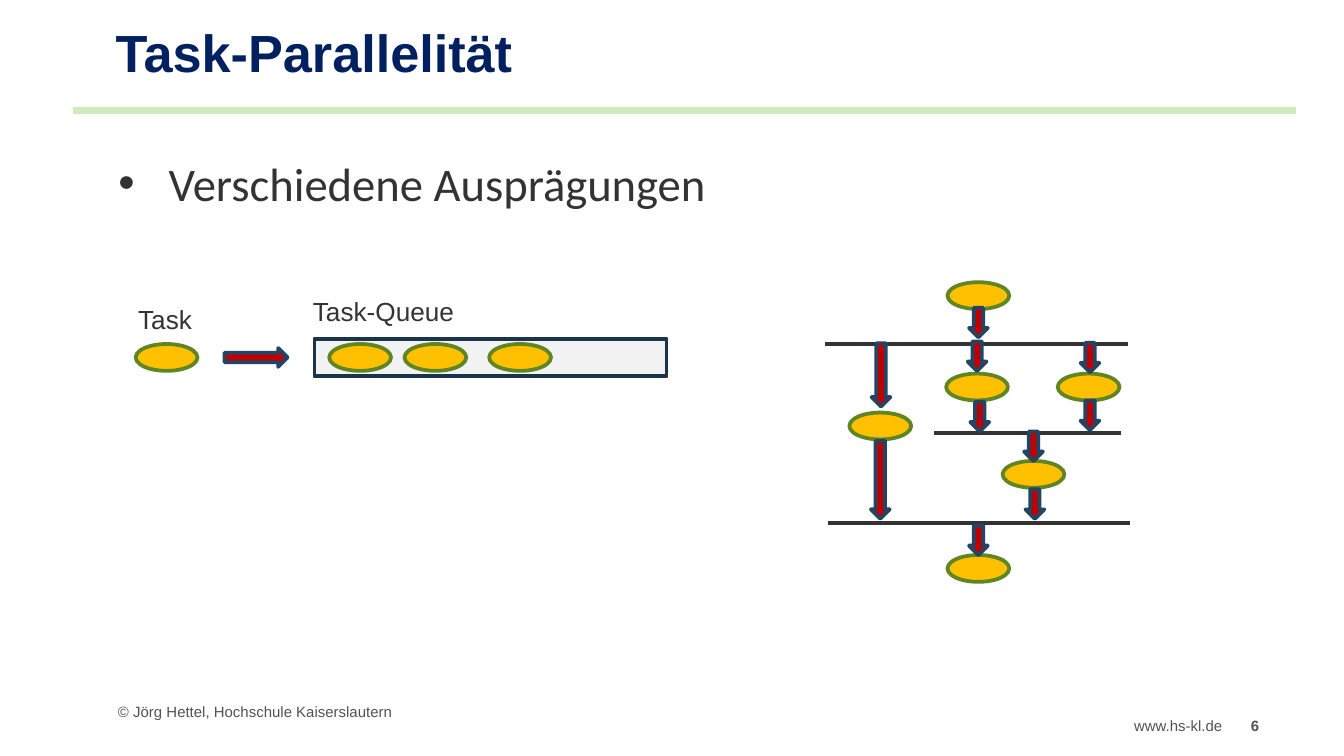
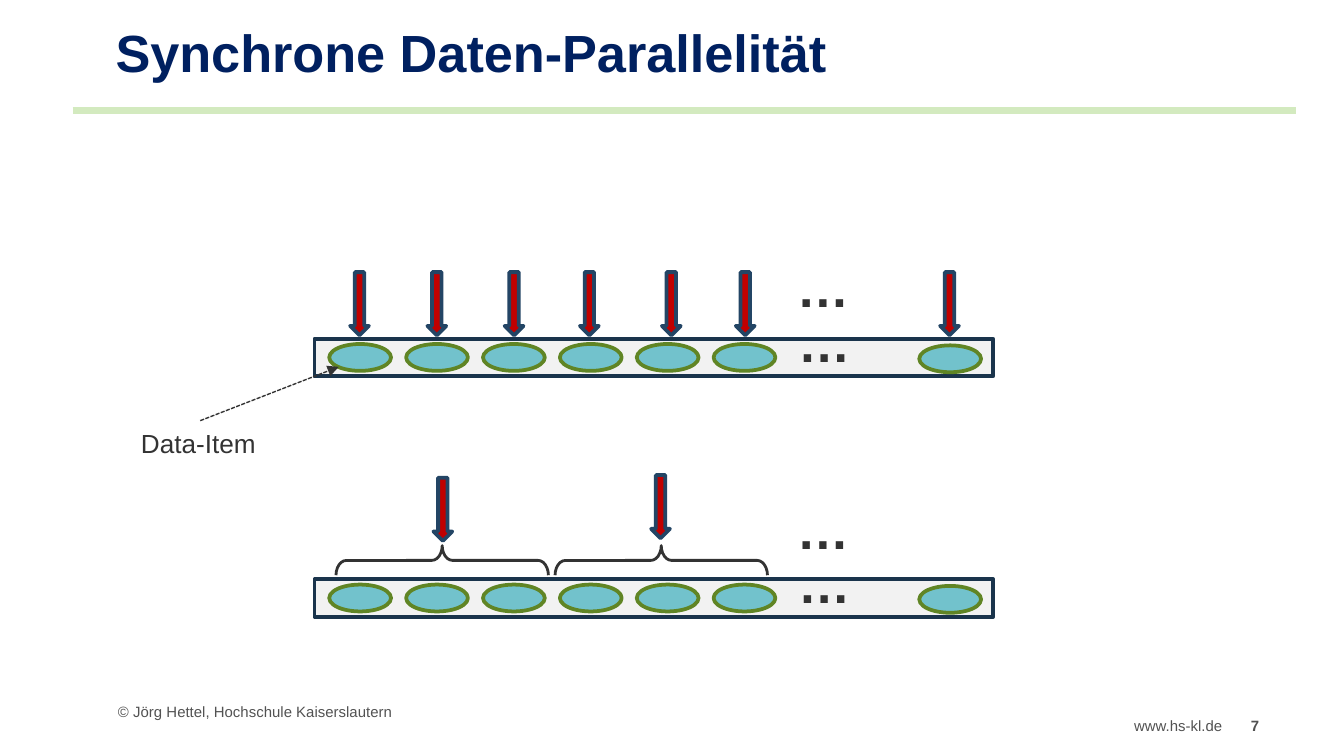
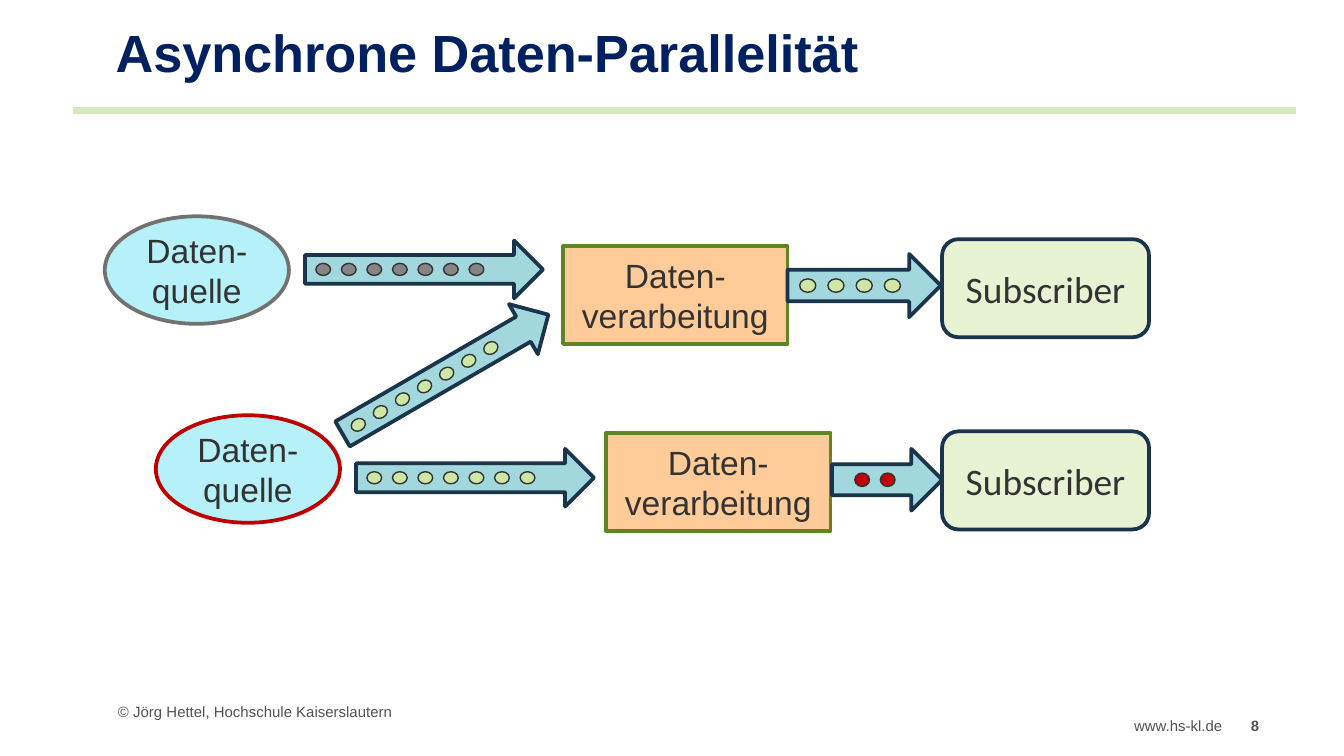
from math import cos, radians, sin

from lxml import etree
from pptx import Presentation
from pptx.dml.color import RGBColor
from pptx.enum.dml import MSO_LINE
from pptx.enum.shapes import MSO_CONNECTOR, MSO_SHAPE
from pptx.enum.text import MSO_ANCHOR, MSO_AUTO_SIZE, PP_ALIGN
from pptx.oxml.ns import qn
from pptx.util import Inches, Pt

RECT, OVAL, ROUND = MSO_SHAPE.RECTANGLE, MSO_SHAPE.OVAL, MSO_SHAPE.ROUNDED_RECTANGLE
ARROW, BRACE = MSO_SHAPE.RIGHT_ARROW, MSO_SHAPE.LEFT_BRACE
LEFT, CENTER = PP_ALIGN.LEFT, PP_ALIGN.CENTER
TOP, MIDDLE, BOTTOM = MSO_ANCHOR.TOP, MSO_ANCHOR.MIDDLE, MSO_ANCHOR.BOTTOM
FIXED, STRAIGHT = MSO_AUTO_SIZE.NONE, MSO_CONNECTOR.STRAIGHT
DASH = MSO_LINE.SQUARE_DOT

WHITE = RGBColor(0xFF, 0xFF, 0xFF)
NAVY = RGBColor(0x00, 0x20, 0x60)
INK = RGBColor(0x33, 0x33, 0x33)
GREY = RGBColor(0x52, 0x52, 0x52)
RIM = RGBColor(0x72, 0x72, 0x72)
STONE = RGBColor(0x85, 0x85, 0x85)
PALE = RGBColor(0xF2, 0xF2, 0xF2)
BAND = RGBColor(0xD3, 0xEA, 0xBF)
DARK = RGBColor(0x1A, 0x34, 0x4C)
STEEL = RGBColor(0x23, 0x45, 0x65)
GREEN = RGBColor(0x60, 0x85, 0x25)
LIME = RGBColor(0xCE, 0xE7, 0xA7)
MINT = RGBColor(0xE7, 0xF3, 0xD3)
GOLD = RGBColor(0xFF, 0xC0, 0x00)
PEACH = RGBColor(0xFF, 0xCC, 0x99)
RED = RGBColor(0xC0, 0x00, 0x00)
TEAL = RGBColor(0x72, 0xC2, 0xCC)
AQUA = RGBColor(0xA1, 0xD7, 0xDD)
SKY = RGBColor(0xB6, 0xF0, 0xF8)

# Fonts
BASE = {"name": "Arial", "size": Pt(14), "bold": False}
HEAD = BASE | {"size": Pt(28), "bold": True}
LIST = BASE | {"name": "Calibri", "size": Pt(25)}
NODE = BASE | {"size": Pt(18)}
CARD = BASE | {"name": "Calibri", "size": Pt(20)}
SMALL = BASE | {"size": Pt(8)}

COLS, ROWS = 100, 56.25  # square cells on a 10 inch wide slide


def put(item, values):
    for key, value in values.items():
        setattr(item, key, value)


class Deck:
    def __init__(self):
        self.prs = Presentation()
        self.prs.slide_width = Inches(10)
        self.prs.slide_height = Inches(10 * ROWS / COLS)
        self.slide = None

    def cell(self, count):
        return round(self.prs.slide_width * count / COLS)

    def place(self, item, box):
        put(item, dict(zip(("left", "top", "width", "height"), map(self.cell, box))))

    def letter(self, item, text, font, color=INK, align=LEFT, anchor=TOP, wrap=True):
        frame = item.text_frame
        put(frame, {"text": text, "word_wrap": wrap, "auto_size": FIXED,
                    "vertical_anchor": anchor})
        for para in frame.paragraphs:
            put(para, {"alignment": align, "space_before": Pt(0)})
            put(para.font, font)
            para.font.color.rgb = color
        return frame

    def start(self, title, number, layout=5):
        self.slide = self.prs.slides.add_slide(self.prs.slide_layouts[layout])
        fill = self.slide.background.fill
        fill.solid()
        fill.fore_color.rgb = WHITE
        self.line((5.4, 8.2), (96.4, 8.2), BAND, 3.75)
        head = self.slide.shapes.title
        self.place(head, (7.6, 2.9, 73.5, 3.9))
        frame = self.letter(head, title, HEAD, NAVY, anchor=BOTTOM)
        frame.margin_bottom = Inches(0.06)
        frame.paragraphs[0].line_spacing = Pt(31)
        self.label((7.8, 52.2, 36.3, 1.5), "© Jörg Hettel, Hochschule Kaiserslautern",
                   SMALL, GREY, anchor=MIDDLE)
        self.label((83.4, 52.8, 8.7, 2.4), "www.hs-kl.de", SMALL, GREY, wrap=False)
        self.label((92.1, 52.8, 4.3, 2.4), str(number), SMALL | {"bold": True}, GREY,
                   wrap=False)

    def bullet(self, text):
        body = self.slide.placeholders[1]
        self.place(body, (7.8, 11.1, 85.8, 37.7))
        para = body.text_frame.paragraphs[0]
        props = para._p.get_or_add_pPr()
        props.set("marL", str(Inches(0.24)))
        props.set("indent", str(-Inches(0.24)))
        etree.SubElement(props, qn("a:buFont"), typeface="Arial")
        etree.SubElement(props, qn("a:buChar"), char="▪")
        frame = self.letter(body, text, LIST)
        frame.margin_top = Inches(0.04)
        frame.paragraphs[0].space_after = Pt(6)

    def label(self, box, text, font=BASE, color=INK, **style):
        item = self.slide.shapes.add_textbox(*map(self.cell, box))
        self.letter(item, text, font, color, **style)

    def shape(self, kind, box, fill, edge, width=2, turn=0):
        item = self.slide.shapes.add_shape(kind, *map(self.cell, box))
        item.shadow.inherit = False
        item.rotation = turn
        if fill is None:
            item.fill.background()
        else:
            item.fill.solid()
            item.fill.fore_color.rgb = fill
        item.line.color.rgb = edge
        item.line.width = Pt(width)
        return item

    def node(self, kind, box, text, fill, edge, font=NODE):
        item = self.shape(kind, box, fill, edge)
        self.letter(item, text, font, align=CENTER, anchor=MIDDLE)

    def line(self, start, end, color=INK, width=2.25, dash=None, tip=False):
        item = self.slide.shapes.add_connector(
            STRAIGHT, *map(self.cell, (*start, *end)))
        item.line.color.rgb = color
        item.line.width = Pt(width)
        if dash:
            item.line.dash_style = dash
        props = item._element.spPr
        if tip:
            etree.SubElement(props.find(qn("a:ln")), qn("a:tailEnd"), type="triangle")
        etree.SubElement(props, qn("a:effectLst"))

    def pill(self, x, y, fill):
        self.shape(OVAL, (x, y, 4.6, 2), fill, GREEN)

    def queue(self, y, width):
        self.shape(RECT, (23.4, y, width, 2.8), PALE, DARK)

    def arrow(self, x, y, size=4.7, turn=90):
        """Small red arrow centred at x, y."""
        self.shape(ARROW, (x - size / 2, y - 0.7, size, 1.4), RED, STEEL, turn=turn)

    def brace(self, x, y):
        item = self.shape(BRACE, (x, y, 2.2, 15.8), None, INK, 1.5, 90)
        item.adjustments[0] = 0.35

    def flow(self, box, fill, count, first=-7.5, step=1.9, dot=(1.1, 0.9), turn=0):
        """Wide arrow with dots along its axis, offset from its centre."""
        self.shape(ARROW, box, AQUA, DARK, turn=turn)
        x, y, w, h = box
        for i in range(count):
            shift = first + i * step
            left = x + w / 2 + shift * cos(radians(turn)) - dot[0] / 2
            top = y + h / 2 + shift * sin(radians(turn)) - dot[1] / 2
            self.shape(OVAL, (left, top, *dot), fill, INK, 0.75, turn)


def tasks(deck):
    deck.start("Task-Parallelität", 6, layout=1)
    deck.bullet("Verschiedene Ausprägungen")
    # Queue
    deck.queue(25.2, 26.2)
    for x in (10.1, 24.5, 30.1, 36.4):
        deck.pill(x, 25.6, GOLD)
    deck.arrow(19.05, 26.6, turn=0)
    deck.label((9.3, 22.1, 7.4, 3.4), "Task")
    deck.label((22.3, 21.5, 14.7, 3.4), "Task-Queue")
    # Fork and join graph
    for x, y in ((70.5, 21), (70.4, 27.8), (78.7, 27.8), (74.6, 34.3),
                 (70.5, 41.3), (63.2, 30.7)):
        deck.pill(x, y, GOLD)
    for left, right, y in ((61.4, 83.9, 25.6), (61.6, 84.1, 38.9), (69.5, 83.4, 32.2)):
        deck.line((left, y), (right, y))
    for x, y in ((72.8, 24), (72.7, 26.5), (81.1, 26.6), (72.9, 31), (81.1, 30.9),
                 (76.9, 33.2), (77, 37.5), (72.8, 40.2)):
        deck.arrow(x, y, 2.2)
    deck.arrow(65.55, 27.9)
    deck.arrow(65.5, 35.7, 5.8)


def items(deck):
    deck.start("Synchrone Daten-Parallelität", 7)
    # Two rows of data
    for y, above in ((25.2, 18.5), (43.1, 36.5)):
        deck.queue(y, 50.5)
        for i in range(6):
            deck.pill(24.5 + 5.72 * i, y + 0.4, TEAL)
        deck.pill(68.4, y + 0.5, TEAL)
        deck.label((58.4, y - 2.6, 8.2, 5.7), "…", HEAD)
        deck.label((58.3, above, 8.2, 5.7), "…", HEAD)
    # One arrow per item
    for x in (26.75, 32.5, 38.25, 43.85, 49.95, 55.45, 70.65):
        deck.arrow(x, 22.6)
    # One arrow per block
    for x, y in ((32.95, 37.9), (49.15, 37.7)):
        deck.arrow(x, y)
    for x in (31.8, 48.1):
        deck.brace(x, 33.8)
    deck.label((9.5, 31.3, 14.2, 3.4), "Data-Item")
    deck.line((14.9, 31.3), (25.2, 27.3), width=0.75, dash=DASH, tip=True)


def streams(deck):
    deck.start("Asynchrone Daten-Parallelität", 8)
    # Stages
    for x, y, edge in ((7.8, 16.1, RIM), (11.6, 30.9, RED)):
        deck.node(OVAL, (x, y, 13.7, 8), "Daten-quelle", SKY, edge)
    for x, y in ((41.9, 18.3), (45.1, 32.2)):
        deck.node(RECT, (x, y, 16.7, 7.3), "Daten-\nverarbeitung", PEACH, GREEN)
    # Streams
    deck.flow((22.7, 17.9, 17.7, 4.3), STONE, 7)
    deck.flow((26.5, 33.4, 17.7, 4.3), LIME, 7)
    deck.flow((24.3, 25.7, 17.7, 4.3), LIME, 7, turn=329.9)
    deck.flow((58.6, 18.9, 11.4, 4.7), LIME, 4, -4.2, 2.1, (1.2, 1))
    deck.flow((61.9, 33.4, 8.2, 4.6), RED, 2, -1.85, dot=(1.1, 1))
    for y in (17.8, 32.1):
        deck.node(ROUND, (70.1, y, 15.4, 7.3), "Subscriber", MINT, DARK, CARD)


def main():
    deck = Deck()
    for build in (tasks, items, streams):
        build(deck)
    deck.prs.save("out.pptx")


if __name__ == "__main__":
    main()
